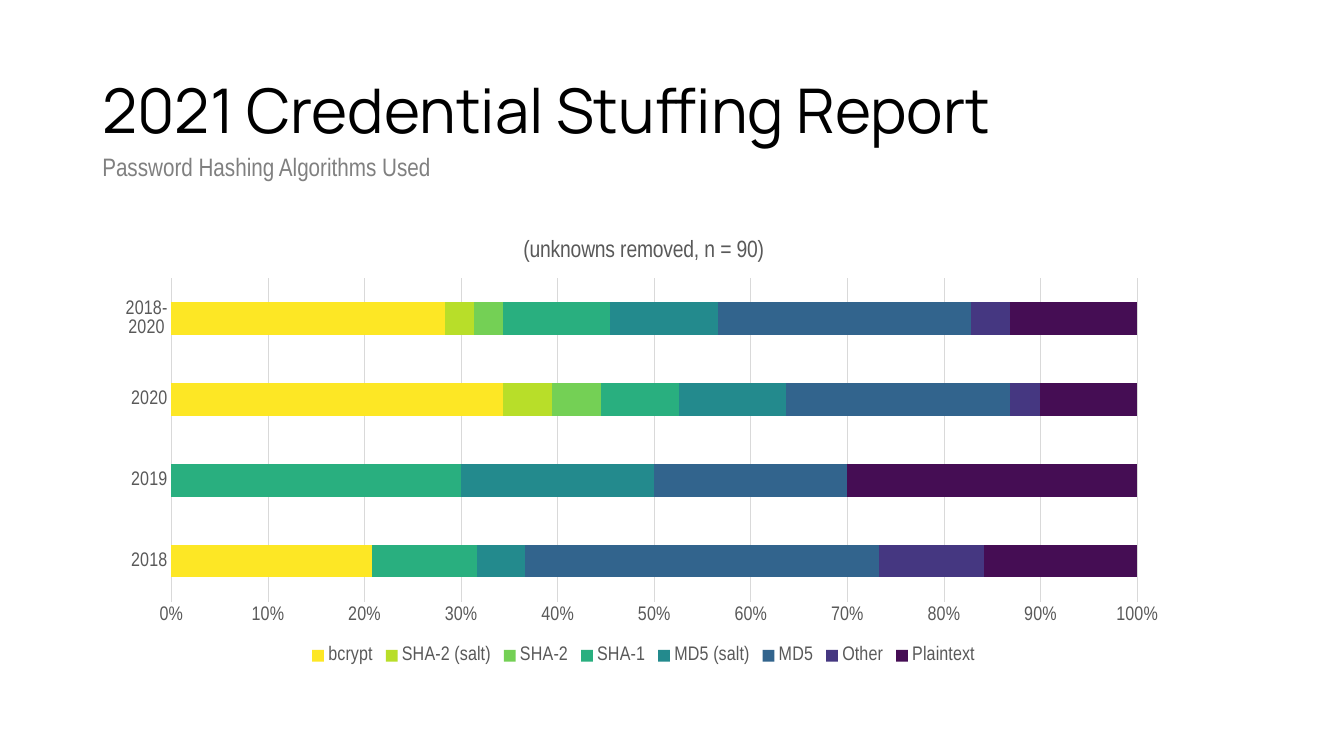
from lxml import etree
from pptx import Presentation
from pptx.chart.data import CategoryChartData
from pptx.dml.color import RGBColor
from pptx.enum.chart import XL_CHART_TYPE as ChartType
from pptx.enum.chart import XL_LEGEND_POSITION as LegendPosition
from pptx.enum.chart import XL_TICK_MARK as TickMark
from pptx.enum.text import MSO_ANCHOR as Anchor
from pptx.oxml.ns import qn
from pptx.util import Pt

TITLE = "2021 Credential Stuffing Report"
SUBTITLE = "Password Hashing Algorithms Used"
CHART_TITLE = "(unknowns removed, n = 90)"
PERIODS = ["2018", "2019", "2020", "2018-2020"]
ALGORITHMS = [
    ("bcrypt", (21, 0, 34, 28), "FDE725"),
    ("SHA-2 (salt)", (0, 0, 5, 3), "B8DE29"),
    ("SHA-2", (0, 0, 5, 3), "74D055"),
    ("SHA-1", (11, 30, 8, 11), "29AF7F"),
    ("MD5 (salt)", (5, 20, 11, 11), "238A8D"),
    ("MD5", (37, 20, 23, 26), "32648D"),
    ("Other", (11, 0, 3, 4), "453781"),
    ("Plaintext", (16, 30, 10, 13), "450D54"),
]
HEADING_FONT, BODY_FONT = "Manrope", "Arial Narrow"
LABEL_GREY, GRID_GREY = "595959", "D9D9D9"
PLOT_AREA = {"x": 0.06, "y": 0.13, "w": 0.9, "h": 0.72}


def color(hex_code):
    return RGBColor.from_string(hex_code)


def style_font(font, name, size, hex_code):
    font.name, font.size, font.bold = name, Pt(size), False
    font.color.rgb = color(hex_code)


def style_line(line, hex_code):
    line.width = Pt(0.75)
    line.color.rgb = color(hex_code)


def add_text(slide, text, box, name, size, hex_code, anchor):
    frame = slide.shapes.add_textbox(*map(Pt, box)).text_frame
    frame.word_wrap = True
    frame.vertical_anchor = anchor
    paragraph = frame.paragraphs[0]
    run = paragraph.add_run()
    run.text = text
    style_font(run.font, name, size, hex_code)
    return paragraph


def place_plot(chart, fractions):
    """Fix the inner plot area as fractions of the chart."""
    plot_area = chart._chartSpace.chart.plotArea
    for old in plot_area.findall(qn("c:layout")):
        plot_area.remove(old)
    layout = etree.Element(qn("c:layout"))
    manual = etree.SubElement(layout, qn("c:manualLayout"))
    settings = [("layoutTarget", "inner"), ("xMode", "edge"), ("yMode", "edge")]
    for tag, value in settings + list(fractions.items()):
        etree.SubElement(manual, qn("c:" + tag)).set("val", str(value))
    plot_area.insert(0, layout)


def add_hash_chart(slide, box):
    shares = CategoryChartData()
    shares.categories = PERIODS
    for algorithm, values, _ in ALGORITHMS:
        shares.add_series(algorithm, values)
    chart = slide.shapes.add_chart(
        ChartType.BAR_STACKED_100, *map(Pt, box), shares).chart
    style_font(chart.font, BODY_FONT, 14, LABEL_GREY)

    chart.has_title = True
    run = chart.chart_title.text_frame.paragraphs[0].add_run()
    run.text = CHART_TITLE
    style_font(run.font, BODY_FONT, 16.8, LABEL_GREY)
    chart.chart_title.include_in_layout = False

    chart.has_legend = True
    chart.legend.position = LegendPosition.BOTTOM
    chart.legend.include_in_layout = False
    style_font(chart.legend.font, BODY_FONT, 14, LABEL_GREY)

    plot = chart.plots[0]
    plot.gap_width, plot.overlap = 150, 100
    plot.vary_by_categories = False
    for series, (_, _, fill) in zip(plot.series, ALGORITHMS):
        series.format.fill.solid()
        series.format.fill.fore_color.rgb = color(fill)

    for axis in (chart.category_axis, chart.value_axis):
        axis.major_tick_mark = axis.minor_tick_mark = TickMark.NONE
        style_font(axis.tick_labels.font, BODY_FONT, 14, LABEL_GREY)
    style_line(chart.category_axis.format.line, GRID_GREY)

    percent = chart.value_axis
    percent.minimum_scale, percent.maximum_scale, percent.major_unit = 0, 1, 0.1
    percent.tick_labels.number_format = "0%"
    percent.tick_labels.number_format_is_linked = False
    percent.format.line.fill.background()
    percent.has_major_gridlines = True
    style_line(percent.major_gridlines.format.line, GRID_GREY)
    place_plot(chart, PLOT_AREA)


def main():
    deck = Presentation()
    deck.slide_width, deck.slide_height = Pt(960), Pt(540)
    slide = deck.slides.add_slide(deck.slide_layouts[6])
    heading = add_text(slide, TITLE, (66, 28.75, 828, 104.4),
                       HEADING_FONT, 44, "000000", Anchor.MIDDLE)
    heading.line_spacing = 0.9
    add_hash_chart(slide, (76.5, 157, 766.5, 321))
    add_text(slide, SUBTITLE, (66, 104.4, 382, 29),
             BODY_FONT, 18, "808080", Anchor.TOP)
    deck.save("out.pptx")


if __name__ == "__main__":
    main()
